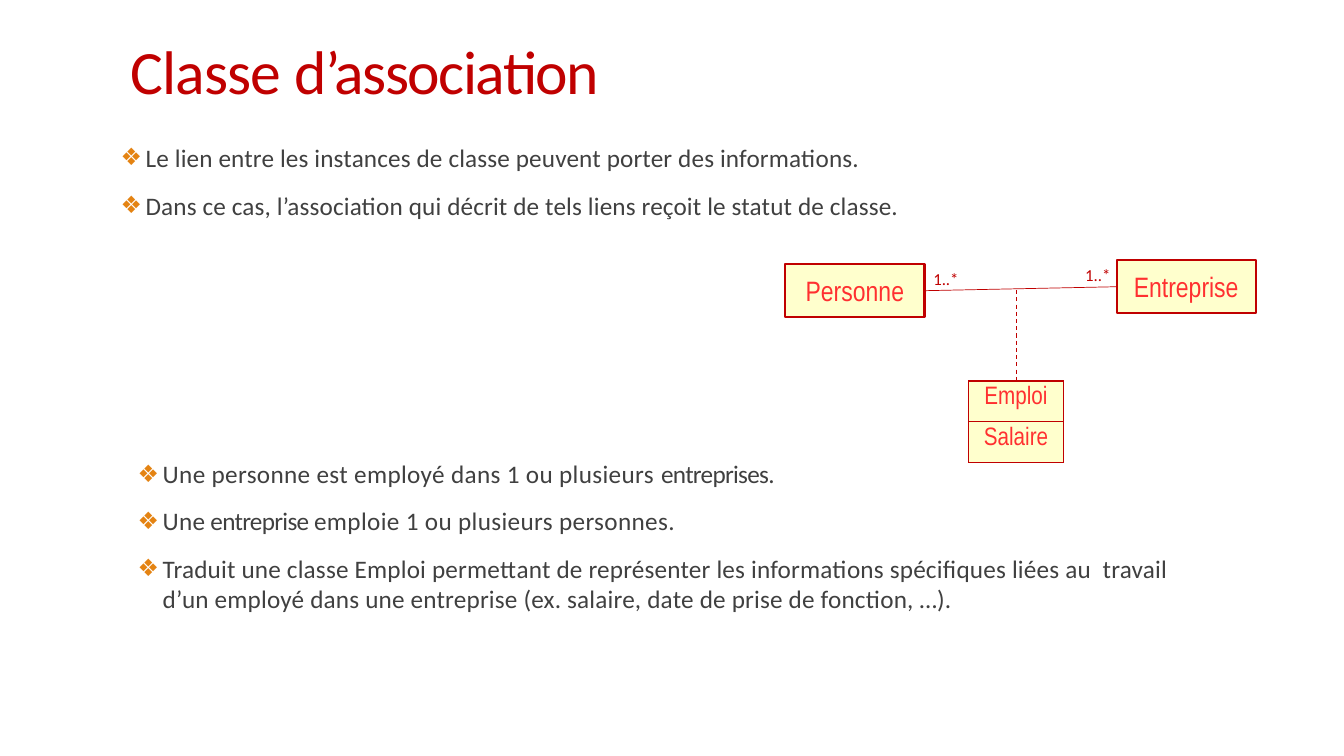
from lxml import etree
from pptx import Presentation
from pptx.dml.color import RGBColor
from pptx.enum.dml import MSO_LINE
from pptx.enum.shapes import MSO_CONNECTOR, MSO_SHAPE
from pptx.enum.text import MSO_ANCHOR, MSO_AUTO_SIZE, PP_ALIGN
from pptx.oxml import parse_xml
from pptx.oxml.ns import nsdecls, qn
from pptx.util import Cm, Pt

COLORS = {
    "accent": "C00000",
    "body": "404040",
    "bullet": "E48312",
    "class_fill": "FFFFCD",
    "class_text": "FF3030",
}
LAYOUT_TWO_CONTENT = 3

# Each paragraph is a list of (text, letter spacing in points) runs.
TITLE = [("Classe ", -0.6), ("d’association", -1.1)]
DEFINITION = [
    [("Le lien entre les instances de classe peuvent porter des informations.", 0.1)],
    [("Dans ce cas, l’association qui décrit de tels liens reçoit le statut de classe.", 0.1)],
]
EXPLANATION = [
    [("Une personne est employé dans 1 ou plusieurs ", 0.25), ("entreprises.", -0.5)],
    [("Une", 0.2), (" entreprise ", -0.5), ("emploie 1 ou plusieurs personnes.", 0.25)],
    [("Traduit une classe Emploi permettant de représenter les informations "
      "spécifiques liées au  travail d’un employé dans une entreprise "
      "(ex. salaire, date de prise de fonction, …).", 0.13)],
]


def rgb(name):
    return RGBColor.from_string(COLORS[name])


def add_run(p, text, size, color, font="Calibri", spacing=0):
    r = p.add_run()
    r.text = text
    r.font.size = Pt(size)
    r.font.name = font
    r.font.color.rgb = rgb(color)
    if spacing:
        r.font._element.set("spc", str(round(spacing * 100)))


def place(sp, left, top, width, height):
    sp.left, sp.top, sp.width, sp.height = left, top, width, height


def set_insets(tf, left, top, right, bottom):
    tf.margin_left, tf.margin_top = left, top
    tf.margin_right, tf.margin_bottom = right, bottom


def add_bullet(p):
    pPr = p._p.get_or_add_pPr()
    pPr.set("marL", str(Cm(0.65)))
    pPr.set("indent", str(-Cm(0.63)))
    color = etree.SubElement(pPr, qn("a:buClr"))
    etree.SubElement(color, qn("a:srgbClr"), val=COLORS["bullet"])
    etree.SubElement(pPr, qn("a:buSzPct"), val="95000")
    etree.SubElement(pPr, qn("a:buChar"), char="❖")


def fill_title(sp, box):
    place(sp, *box)
    tf = sp.text_frame
    set_insets(tf, 0, Cm(0.03), 0, 0)
    tf.auto_size = MSO_AUTO_SIZE.NONE
    tf.vertical_anchor = MSO_ANCHOR.MIDDLE
    p = tf.paragraphs[0]
    p.alignment = PP_ALIGN.LEFT
    for text, spacing in TITLE:
        add_run(p, text, 44, "accent", spacing=spacing)


def fill_list(sp, box, paragraphs, gap, insets):
    place(sp, *box)
    tf = sp.text_frame
    set_insets(tf, *insets)
    tf.auto_size = MSO_AUTO_SIZE.NONE
    tf.vertical_anchor = MSO_ANCHOR.TOP
    for i, runs in enumerate(paragraphs):
        p = tf.add_paragraph() if i else tf.paragraphs[0]
        add_bullet(p)
        p.space_before = Pt(gap if i else 0)
        for text, spacing in runs:
            add_run(p, text, 18, "body", spacing=spacing)


def add_class_box(shapes, left, top, name):
    sp = shapes.add_shape(MSO_SHAPE.RECTANGLE, left, top, Cm(3.51), Cm(1.35))
    sp.shadow.inherit = False
    sp.fill.solid()
    sp.fill.fore_color.rgb = rgb("class_fill")
    sp.line.color.rgb = rgb("accent")
    sp.line.width = Pt(1.5)
    tf = sp.text_frame
    tf.vertical_anchor = MSO_ANCHOR.MIDDLE
    p = tf.paragraphs[0]
    p.alignment = PP_ALIGN.CENTER
    add_run(p, name, 20, "class_text", "Arial Narrow")
    return sp


def add_line(shapes, x1, y1, x2, y2, width):
    line = shapes.add_connector(MSO_CONNECTOR.STRAIGHT, x1, y1, x2, y2)
    line.line.color.rgb = rgb("accent")
    line.line.width = Pt(width)
    etree.SubElement(line._element.spPr, qn("a:effectLst"))
    return line


def add_multiplicity(shapes, left, top, width):
    sp = shapes.add_textbox(left, top, width, Cm(0.76))
    sp.text_frame.word_wrap = True
    add_run(sp.text_frame.paragraphs[0], "1..*", 12, "accent")


def add_cell_borders(cell):
    tcPr = cell._tc.get_or_add_tcPr()
    for i, side in enumerate("LRTB"):
        tcPr.insert(i, parse_xml(
            f'<a:ln{side} {nsdecls("a")} w="{Pt(1)}"><a:solidFill>'
            f'<a:srgbClr val="{COLORS["accent"]}"/></a:solidFill></a:ln{side}>'))


def add_association_class(shapes, left, top, width, height):
    rows = ["Emploi", "Salaire"]
    table = shapes.add_table(len(rows), 1, left, top, width, height).table
    table.first_row = table.horz_banding = False
    for i, name in enumerate(rows):
        cell = table.cell(i, 0)
        cell.fill.solid()
        cell.fill.fore_color.rgb = rgb("class_fill")
        add_cell_borders(cell)
        p = cell.text_frame.paragraphs[0]
        p.alignment = PP_ALIGN.CENTER
        add_run(p, name, 18, "class_text", "Arial Narrow")


def add_diagram(shapes, left, top, width, height):
    """Two linked classes, with the association class hanging from the link."""
    company = add_class_box(shapes, left + width - Cm(3.51), top, "Entreprise")
    person = add_class_box(shapes, left, top + Cm(0.1), "Personne")

    link = add_line(shapes, 0, 0, 0, 0, 0.5)
    link.begin_connect(person, 3)
    link.end_connect(company, 1)
    add_multiplicity(shapes, left + Cm(3.48), top + Cm(0.1), Cm(1.22))
    add_multiplicity(shapes, left + Cm(7.31), top, Cm(1.55))

    table_w, table_h = Cm(2.39), Cm(2.06)
    table_left = left + Cm(4.62)
    table_top = top + height - table_h
    add_association_class(shapes, table_left, table_top, table_w, table_h)

    center = table_left + table_w // 2
    stem = add_line(shapes, center, top + Cm(0.76), center, table_top, 0.75)
    stem.line.dash_style = MSO_LINE.DASH


def main():
    prs = Presentation()
    prs.slide_width, prs.slide_height = Cm(33.87), Cm(19.05)
    slide = prs.slides.add_slide(prs.slide_layouts[LAYOUT_TWO_CONTENT])
    title, definition, explanation = slide.placeholders

    fill_title(title, (Cm(3.28), Cm(0.69), Cm(12.95), Cm(2.11)))
    fill_list(definition, (Cm(3.02), Cm(3.12), Cm(26.26), Cm(2.46)),
              DEFINITION, 13, (0, Cm(0.46), 0, 0))
    fill_list(explanation, (Cm(3.2), Cm(11.43), Cm(27.69), Cm(4.19)),
              EXPLANATION, 12, (Cm(0.25), Cm(0.13), Cm(1), Cm(0.13)))
    add_diagram(slide.shapes, Cm(19.79), Cm(6.55), Cm(11.86), Cm(5.11))
    prs.save("out.pptx")


if __name__ == "__main__":
    main()
